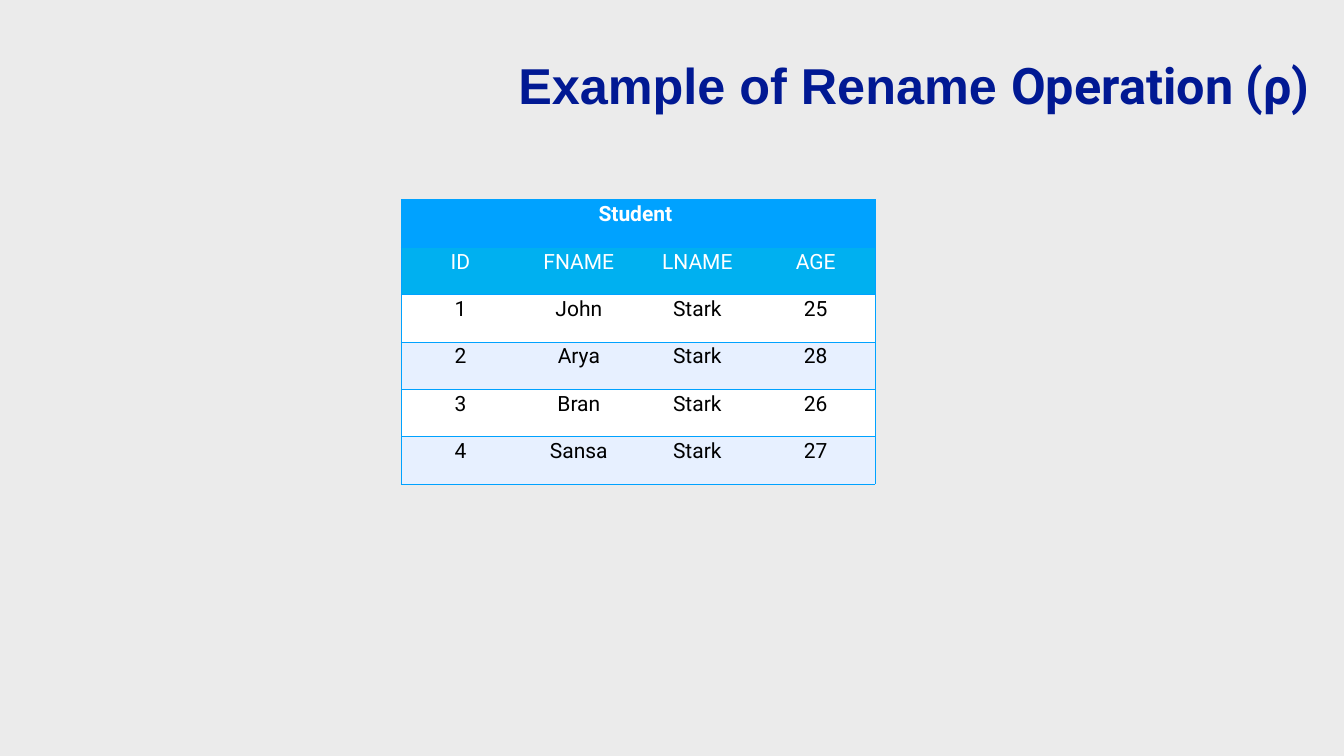
from dataclasses import dataclass

import lxml.etree
import pptx
import pptx.dml.color
import pptx.enum.text
import pptx.oxml.ns
import pptx.slide
import pptx.table
import pptx.text.text
import pptx.util
from pptx.util import Cm


@dataclass(frozen=True)
class Theme:
    background: str = "EBEBEB"
    title: str = "011993"
    name_fill: str = "00A2FF"
    header_fill: str = "00B0F0"
    row_fills: tuple[str, str] = ("FFFFFF", "E7F0FF")
    light_text: str = "FFFFFF"
    dark_text: str = "000000"
    border: str = "00A2FF"
    border_width: float = 1
    title_size: float = 72
    table_size: float = 30
    title_font: str = "Arial"
    font: str = "Roboto"


@dataclass(frozen=True)
class Row:
    values: tuple[str, ...]
    fill: str
    color: str
    bold: bool = False


THEME = Theme()
COLUMN_WIDTH = Cm(5.97)
ROW_HEIGHT = Cm(2.39)
RELATION = "Student "
ATTRIBUTES = ("ID", "FNAME", "LNAME", "AGE")
STUDENTS = (
    ("1", "John", "Stark", "25"),
    ("2", "Arya", "Stark", "28"),
    ("3", "Bran", "Stark", "26"),
    ("4", "Sansa", "Stark", "27"),
)


def rgb(color: str) -> pptx.dml.color.RGBColor:
    return pptx.dml.color.RGBColor.from_string(color)


def add_run(para: pptx.text.text._Paragraph, text: str, font: str,
            size: float, color: str, bold: bool) -> None:
    span = para.add_run()
    span.text = text
    span.font.name = font
    span.font.size = pptx.util.Pt(size)
    span.font.color.rgb = rgb(color)
    span.font.bold = bold


def set_borders(cell: pptx.table._Cell, left: bool, right: bool) -> None:
    """Rule the cell above and below, and at the sides only where asked."""
    properties = cell._tc.get_or_add_tcPr()
    edges = {"lnL": left, "lnR": right, "lnT": True, "lnB": True}
    for tag, visible in edges.items():
        line = lxml.etree.SubElement(
            properties, pptx.oxml.ns.qn(f"a:{tag}"),
            w=str(pptx.util.Pt(THEME.border_width)))
        kind = "a:solidFill" if visible else "a:noFill"
        paint = lxml.etree.SubElement(line, pptx.oxml.ns.qn(kind))
        if visible:
            lxml.etree.SubElement(
                paint, pptx.oxml.ns.qn("a:srgbClr"), val=THEME.border)


def fill_row(table: pptx.table.Table, index: int, row: Row) -> None:
    last = len(table.columns) - 1
    table.rows[index].height = ROW_HEIGHT
    for column in range(last + 1):
        cell = table.cell(index, column)
        spans_row = len(row.values) == 1
        set_borders(cell, column == 0, column == last or spans_row)
        cell.fill.solid()
        cell.fill.fore_color.rgb = rgb(row.fill)
        if column < len(row.values):
            para = cell.text_frame.paragraphs[0]
            para.alignment = pptx.enum.text.PP_ALIGN.CENTER
            add_run(para, row.values[column], THEME.font,
                    THEME.table_size, row.color, row.bold)
    if len(row.values) == 1:
        table.cell(index, 0).merge(table.cell(index, last))


def add_student_table(page: pptx.slide.Slide) -> None:
    rows = [
        Row((RELATION,), THEME.name_fill, THEME.light_text, bold=True),
        Row(ATTRIBUTES, THEME.header_fill, THEME.light_text),
    ]
    for number, student in enumerate(STUDENTS):
        rows.append(Row(student, THEME.row_fills[number % 2], THEME.dark_text))
    table = page.shapes.add_table(
        len(rows), len(ATTRIBUTES), Cm(20.22), Cm(10.06),
        COLUMN_WIDTH * len(ATTRIBUTES), ROW_HEIGHT * len(rows)).table
    for column in table.columns:
        column.width = COLUMN_WIDTH
    for index, row in enumerate(rows):
        fill_row(table, index, row)


def set_title(page: pptx.slide.Slide) -> None:
    box = page.shapes.title
    box.left, box.top, box.width, box.height = (
        Cm(3.94), Cm(2.57), Cm(62.23), Cm(3.35))
    frame = box.text_frame
    frame.word_wrap = True
    frame.auto_size = pptx.enum.text.MSO_AUTO_SIZE.NONE
    frame.vertical_anchor = pptx.enum.text.MSO_ANCHOR.MIDDLE
    frame.margin_left = frame.margin_right = Cm(0.15)
    frame.margin_top = frame.margin_bottom = Cm(0.15)
    para = frame.paragraphs[0]
    para.alignment = pptx.enum.text.PP_ALIGN.RIGHT
    for text, font in (("Example of Rename ", THEME.title_font),
                       ("Operation (ρ)", THEME.font)):
        add_run(para, text, font, THEME.title_size, THEME.title, True)


def main() -> None:
    deck = pptx.Presentation()
    deck.slide_width, deck.slide_height = Cm(67.74), Cm(38.1)
    title_only = deck.slide_layouts.get_by_name("Title Only")
    page = deck.slides.add_slide(title_only)
    page.background.fill.solid()
    page.background.fill.fore_color.rgb = rgb(THEME.background)
    add_student_table(page)
    set_title(page)
    deck.save("out.pptx")


if __name__ == "__main__":
    main()
